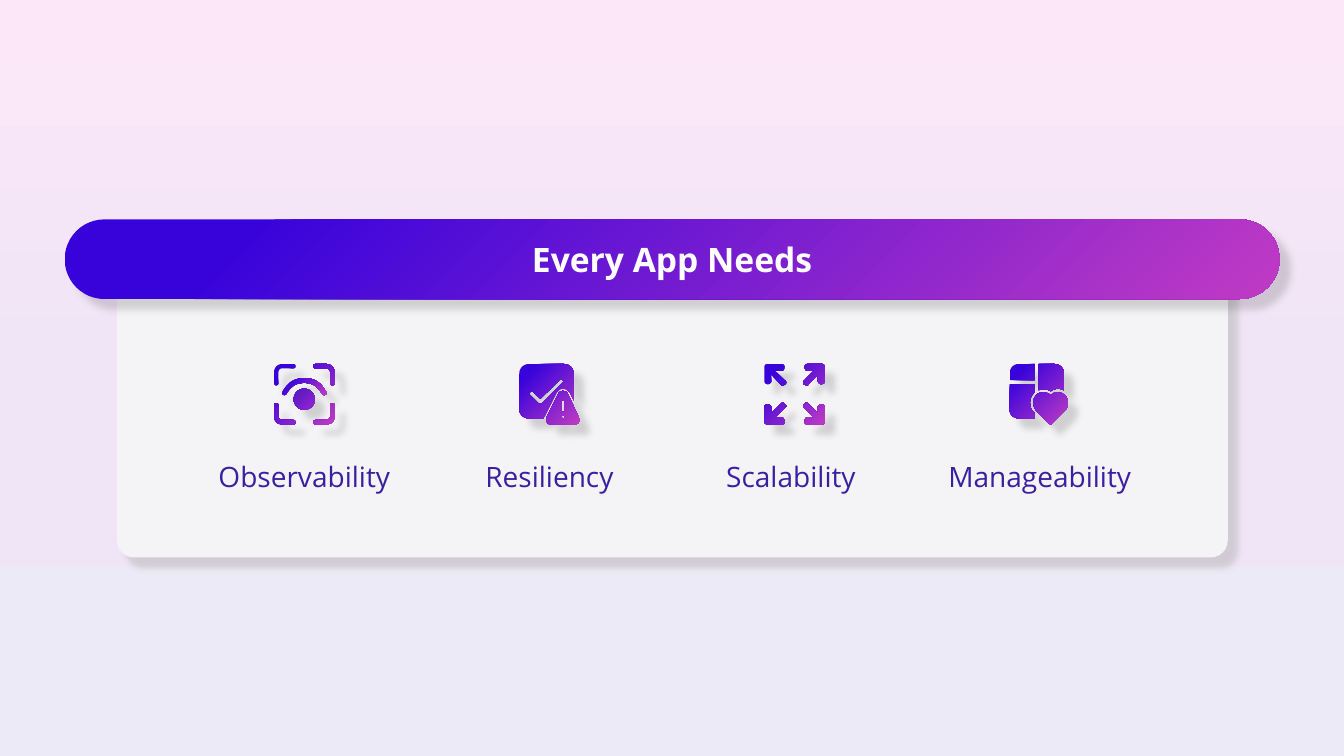
from pptx import Presentation
from pptx.dml.color import RGBColor
from pptx.enum.shapes import MSO_SHAPE
from pptx.enum.text import MSO_ANCHOR, MSO_AUTO_SIZE, PP_ALIGN
from pptx.oxml import parse_xml
from pptx.oxml.ns import nsdecls, qn
from pptx.util import Pt

FINE = 100  # freeform steps per icon unit
ICON_SIZE = 60  # icon units along one side
UNIT = 0.72  # points per icon unit
CURVE_STEPS = 8

BRAND_STOPS = [(0, "C03BC4"), (85, "3803DB")]
FROM_CORNER = '<a:path path="circle"><a:fillToRect l="100000" t="100000"/></a:path>'
DOWNWARD = '<a:lin ang="5400000" scaled="0"/>'
SOFT_SHADOW = ("454142", 20)
PANEL_SHADOW = ("B1B3B3", 50)


def color(hex_text):
    return RGBColor.from_string(hex_text)


def outline(commands):
    """Turn M, L and C commands into one list of points."""
    points, words = [], commands.split()
    while words:
        command = words.pop(0)
        count = 6 if command == "C" else 2
        numbers = [float(word) for word in words[:count]]
        del words[:count]
        if command != "C":
            points.append(tuple(numbers))
            continue
        corners = [points[-1], *zip(numbers[::2], numbers[1::2])]
        for step in range(1, CURVE_STEPS + 1):
            t = step / CURVE_STEPS
            weights = ((1 - t) ** 3, 3 * t * (1 - t) ** 2, 3 * t * t * (1 - t), t ** 3)
            points.append(tuple(sum(w * c[axis] for w, c in zip(weights, corners))
                                for axis in (0, 1)))
    return points


def four_corners(commands):
    """Mirror a top-left outline into all corners of the icon."""
    top_left = outline(commands)
    return [[(ICON_SIZE - x if flip_x else x, ICON_SIZE - y if flip_y else y)
             for x, y in top_left]
            for flip_x in (False, True) for flip_y in (False, True)]


class NeedsSlide:
    font = "Open Sans"

    def __init__(self, presentation):
        self.slide = presentation.slides.add_slide(presentation.slide_layouts[6])
        self.shapes = self.slide.shapes

    def gradient(self, parent, stops, direction):
        stop_xml = "".join(f'<a:gs pos="{at * 1000}"><a:srgbClr val="{tone}"/></a:gs>'
                           for at, tone in stops)
        fill = parse_xml(f'<a:gradFill rotWithShape="1" {nsdecls("a")}>'
                         f"<a:gsLst>{stop_xml}</a:gsLst>{direction}</a:gradFill>")
        parent.replace(parent.find(qn("a:solidFill")), fill)

    def background(self, stops):
        self.slide.background.fill.solid()
        self.gradient(next(self.slide.element.iter(qn("p:bgPr"))), stops, DOWNWARD)

    def finish(self, shape, shadow, fill=None):
        """Fill with a plain colour or the brand gradient, and cast a shadow."""
        shape.line.fill.background()
        shape.fill.solid()
        properties = shape.element.spPr
        if fill:
            shape.fill.fore_color.rgb = color(fill)
        else:
            self.gradient(properties, BRAND_STOPS, FROM_CORNER)
        shape.shadow.inherit = False
        tone, opacity = shadow
        properties.find(qn("a:effectLst")).append(parse_xml(
            f'<a:outerShdw {nsdecls("a")} blurRad="{Pt(5)}" dist="{Pt(10)}" dir="2700000" '
            f'algn="tl" rotWithShape="0"><a:srgbClr val="{tone}">'
            f'<a:alpha val="{opacity * 1000}"/></a:srgbClr></a:outerShdw>'))

    def rounded(self, left, top, width, height, radius, shadow, fill=None):
        shape = self.shapes.add_shape(MSO_SHAPE.ROUNDED_RECTANGLE,
                                      Pt(left), Pt(top), Pt(width), Pt(height))
        shape.adjustments[0] = radius
        self.finish(shape, shadow, fill)
        return shape

    def icon(self, left, top, contours):
        builder = None
        for contour in contours:
            points = [(x * FINE, y * FINE) for x, y in contour]
            if builder is None:
                builder = self.shapes.build_freeform(*points[0], scale=Pt(UNIT) / FINE)
            else:
                builder.move_to(*points[0])
            builder.add_line_segments(points[1:], close=True)
        self.finish(builder.convert_to_shape(Pt(left), Pt(top)), SOFT_SHADOW)

    def centered_run(self, frame, text, size, tone, bold=False):
        paragraph = frame.paragraphs[0]
        paragraph.alignment = PP_ALIGN.CENTER
        run = paragraph.add_run()
        run.text = text
        run.font.name, run.font.size, run.font.bold = self.font, Pt(size), bold
        run.font.color.rgb = color(tone)

    def label(self, center, top, width, text):
        box = self.shapes.add_textbox(Pt(center - width / 2), Pt(top), Pt(width), Pt(31.5))
        box.text_frame.word_wrap = True
        box.text_frame.auto_size = MSO_AUTO_SIZE.SHAPE_TO_FIT_TEXT
        self.centered_run(box.text_frame, text, 20, "3A20A0")

    def banner(self, left, top, width, height, text):
        frame = self.rounded(left, top, width, height, 0.5, SOFT_SHADOW).text_frame
        frame.margin_left = frame.margin_right = frame.margin_top = frame.margin_bottom = 0
        frame.vertical_anchor = MSO_ANCHOR.MIDDLE
        self.centered_run(frame, text, 24, "FFFFFF", bold=True)


# Icon outlines on a 60 by 60 grid; each icon is a list of separately filled layers
EYE_FRAME = four_corners(
    "M 0 19 L 0 8 C 0 3.6 3.6 0 8 0 L 19 0 C 22 0 22 4.4 19 4.4 L 8 4.4 "
    "C 6 4.4 4.4 6 4.4 8 L 4.4 19 C 4.4 22 0 22 0 19")
PUPIL = outline(
    "M 19.5 35 C 19.5 29.2 24.2 24.5 30 24.5 C 35.8 24.5 40.5 29.2 40.5 35 "
    "C 40.5 40.8 35.8 45.5 30 45.5 C 24.2 45.5 19.5 40.8 19.5 35")
EYELID = outline(
    "M 13 28.5 C 12 31 9.5 31.5 8.5 30 C 7.5 28.5 9 26 13 21 C 17 16.5 22.5 14 30 14 "
    "C 37.5 14 43 16.5 47 21 C 51 26 52.5 28.5 51.5 30 C 50.5 31.5 48 31 47 28.5 "
    "C 42 20.5 36 18.8 30 18.8 C 24 18.8 18 20.5 13 28.5")
CHECK_AND_WARNING = [outline(commands) for commands in (
    "M 10 0 C 4 0 0 4 0 10 L 0 44 C 0 50 4 54 10 54 L 24 54 C 24 53 24 53 25 52 "
    "L 37 28 C 40 23 47 23 50 28 L 54 36 L 54 10 C 54 4 50 0 44 0",
    "M 43 19 L 23 39 C 22 40 20 40 19 39 L 11 31 C 10 30 10 29 11 28 "
    "C 12 27 13 27 14 28 L 21 34.5 L 40 16 C 41 15 42 15 43 16 C 44 17 44 18 43 19",
    "M 39 29 L 27 53 C 26 56 28 60 31 60 L 55 60 C 59 60 61 56 59 53 L 48 29 "
    "C 46 26 41 26 39 29",
    "M 45 37 L 45 46 C 45 48.5 42 48.5 42 46 L 42 37 C 42 35.5 45 35.5 45 37",
    "M 43.5 54 C 41.5 54 41.5 51 43.5 51 C 45.5 51 45.5 54 43.5 54",
)]
ARROWS = four_corners(
    "M 17 0 C 19 0 20 1 20 3 C 20 5 19 7 17 7 L 11 7 L 20 16 C 22 17 22 19 21 20 "
    "L 20 20.5 C 19 22 17 22 16 20 L 7 11 L 7 17 C 7 18.5 5 20 3.5 20 "
    "C 1.5 20 0 19 0 17 L 0 3 C 0 1 1.5 0 3 0")
PANES_AND_HEART = [outline(commands) for commands in (
    "M 25 54 L 25 49 L 24 48 C 19 43 19 34 24 29 L 25 28 L 25 20 L 0 20 L 0 45 "
    "C 0 50 4 54 9 54",
    "M 54 10 L 54 26 C 50 24 45 24 41 27 C 37 25 33 24 29 26 L 29 0 L 44 0 "
    "C 50 0 54 4 54 10",
    "M 25 44 C 23 41 23 36 25 33 C 26 31.5 27 30 29 29 C 33 27 37 28 41 31 "
    "C 45 27 50 27 55 31 C 59 35 59 42 55 46 L 42 59 C 41.5 60 40.5 60 39 59 L 26 46",
    "M 25 16 L 25 0 L 9 0 C 4 0 0 4 0 10 L 0 16",
)]

NEEDS = [
    ("Observability", 144, [EYE_FRAME + [PUPIL], [EYELID]]),
    ("Resiliency", 144, [CHECK_AND_WARNING]),
    ("Scalability ", 144, [ARROWS]),
    ("Manageability", 158.4, [PANES_AND_HEART]),
]
FIRST_CENTER, PITCH = 217.4, 175.1


def main():
    presentation = Presentation()
    presentation.slide_width, presentation.slide_height = Pt(960), Pt(540)
    needs_slide = NeedsSlide(presentation)
    needs_slide.background([(0, "FCE7F8"), (50, "F0E5F6"), (100, "EDEAF7")])

    # Panel with its icons and labels, kept together in a group
    needs_slide.shapes = needs_slide.slide.shapes.add_group_shape().shapes
    needs_slide.rounded(83.5, 187.2, 793.5, 211, 0.058, PANEL_SHADOW, "F4F3F5")
    for column, (need, width, layers) in enumerate(NEEDS):
        center = FIRST_CENTER + column * PITCH
        for layer in layers:
            needs_slide.icon(center - ICON_SIZE * UNIT / 2, 260, layer)
        needs_slide.label(center, 324.7, width, need)

    # Heading over the top edge of the panel
    needs_slide.shapes = needs_slide.slide.shapes
    needs_slide.banner(46.2, 156.7, 867.8, 56.9, "Every App Needs")
    presentation.save("out.pptx")


if __name__ == "__main__":
    main()
